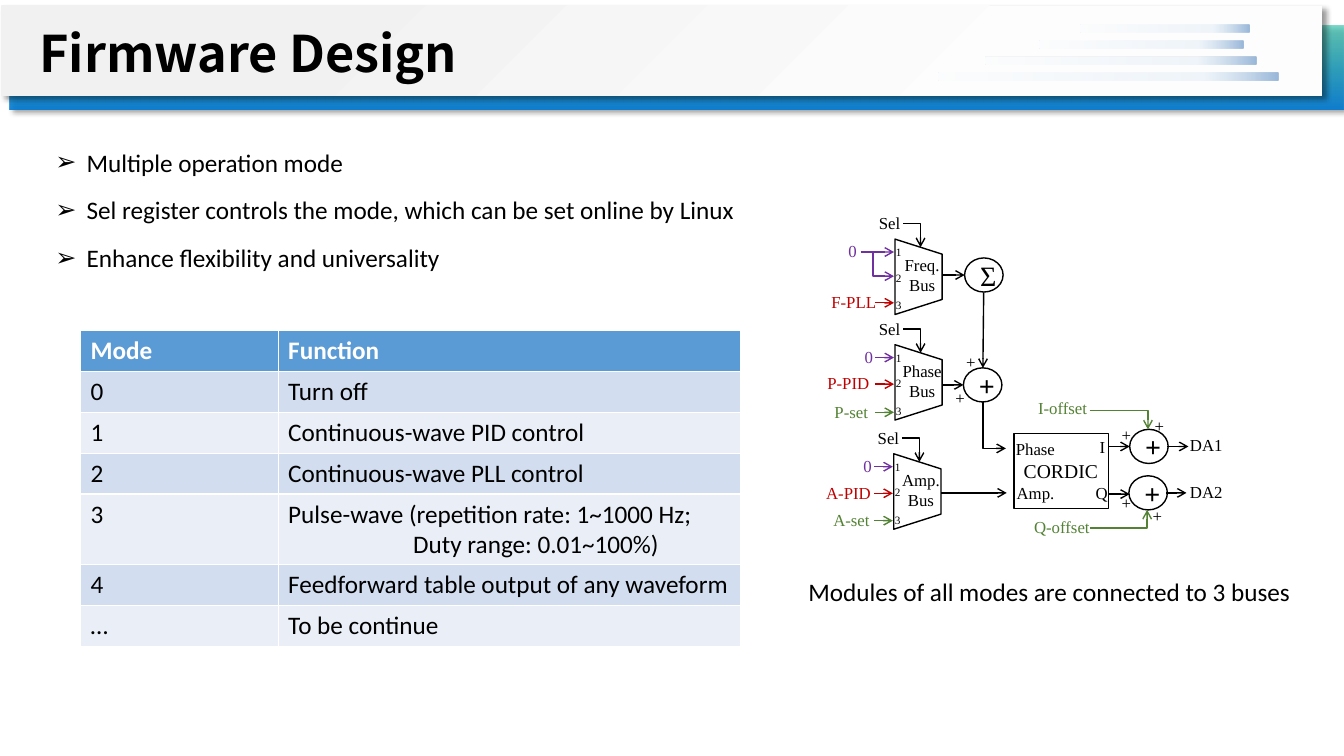
from dataclasses import dataclass

from lxml import etree
from pptx import Presentation
from pptx.dml.color import RGBColor
from pptx.enum.shapes import MSO_CONNECTOR, MSO_SHAPE
from pptx.enum.text import MSO_ANCHOR, MSO_AUTO_SIZE, PP_ALIGN
from pptx.oxml.ns import qn
from pptx.shapes.autoshape import Shape
from pptx.shapes.connector import Connector
from pptx.text.text import TextFrame, _Paragraph
from pptx.util import Cm, Pt

STRAIGHT, ELBOW = MSO_CONNECTOR.STRAIGHT, MSO_CONNECTOR.ELBOW
RECT, ROUND, OVAL = MSO_SHAPE.RECTANGLE, MSO_SHAPE.ROUNDED_RECTANGLE, MSO_SHAPE.OVAL
MUX = MSO_SHAPE.FLOWCHART_MANUAL_OPERATION
LEFT, CENTER = PP_ALIGN.LEFT, PP_ALIGN.CENTER
TOP, MIDDLE = MSO_ANCHOR.TOP, MSO_ANCHOR.MIDDLE
GROW, FIXED = MSO_AUTO_SIZE.SHAPE_TO_FIT_TEXT, MSO_AUTO_SIZE.NONE
BLACK, WHITE = "000000", "FFFFFF"
PURPLE, RED, GREEN = "7030A0", "C00000", "548235"
SERIF, SANS, HEAD = "Times New Roman", "Calibri", "Noto Sans CJK SC"


@dataclass
class Label:
    text: str
    x: float
    y: float
    w: float
    color: str = BLACK
    size: int = 12
    h: float = 0.76
    align: PP_ALIGN = LEFT


@dataclass
class Wire:
    x1: float
    y1: float
    x2: float
    y2: float
    color: str = BLACK
    bent: bool = False
    down: bool = False


@dataclass
class Pin:
    text: str
    color: str
    x: float
    w: float
    y: float
    start: float = -0.15


@dataclass
class Bus:
    name: str
    x: float
    y: float
    pins: list[Pin]


@dataclass
class Node:
    text: str
    x: float
    y: float
    bold: bool = True


@dataclass
class Stop:
    at: int
    color: str
    alpha: int = 100


BAND = [Stop(0, "23BFA5", 60), Stop(50, "119ABC", 80), Stop(100, "0078D2", 90)]
PLATE = [Stop(20, "FDFDFD"), Stop(80, "F1F1F1")]
STREAK = [Stop(0, "F7FAFD", 20), Stop(78, "B5D2EC", 20), Stop(100, "014DA2", 40)]

BUSES = [
    Bus("Freq.", 22.2, 6.38, [
        Pin("0", PURPLE, -1.07, 0.74, -0.03, -0.51),
        Pin("F-PLL", RED, -1.5, 1.65, 1.25)]),
    Bus("Phase", 22.2, 9.04, [
        Pin("0", PURPLE, -0.66, 0.74, -0.03),
        Pin("P-PID", RED, -1.6, 1.57, 0.64),
        Pin("P-set", GREEN, -1.42, 1.37, 1.35)]),
    Bus("Amp.", 22.17, 11.79, [
        Pin("0", PURPLE, -0.66, 0.74, -0.03),
        Pin("A-PID", RED, -1.6, 1.65, 0.64),
        Pin("A-set", GREEN, -1.42, 1.45, 1.33)]),
]
BACK = [
    Wire(23.44, 12.42, 25.37, 12.42), Wire(27.05, 12.45, 28.47, 12.45),
    Wire(27.46, 11.25, 28.47, 11.25), Wire(22.76, 9.7, 24.28, 9.7),
    Wire(23.39, 6.93, 24.31, 6.93),
]
FRONT = [
    Wire(29.41, 11.25, 29.95, 11.25), Wire(29.39, 12.42, 29.9, 12.42),
    Wire(24.79, 7.37, 24.77, 9.27),
    Wire(24.77, 10.13, 25.35, 11.3, bent=True, down=True),
    Wire(22, 6.35, 22.53, 6.96, PURPLE, True, True),
    Wire(27.46, 10.34, 28.93, 10.82, GREEN, True),
    Wire(27.46, 13.31, 28.91, 12.85, GREEN, True),
]
NODES = [Node("Σ", 24.31, 6.5, False), Node("+", 24.28, 9.27),
         Node("+", 28.47, 10.82), Node("+", 28.45, 11.99)]
PLUSES = [(23.83, 9.65), (24.1, 8.74), (28.02, 12.29), (28.8, 12.62),
          (28.85, 10.34), (28.02, 10.59)]
LABELS = [
    Label("CORDIC", 25.55, 11.43, 2.41, size=14, h=0.86),
    Label("Phase", 25.35, 10.92, 1.55), Label("Amp.", 25.37, 12.04, 1.47),
    Label("I", 27.46, 10.87, 0.66), Label("Q", 27.36, 12.04, 0.81),
    Label("DA1", 29.74, 10.82, 1.35), Label("DA2", 29.74, 12.01, 1.35),
    Label("I-offset", 25.91, 9.91, 1.78, GREEN),
    Label("Q-offset", 25.81, 12.9, 1.93, GREEN),
] + [Label("+", x, y, 0.76) for x, y in PLUSES]
POINTS = ["Multiple operation mode",
          "Sel register controls the mode, which can be set online by Linux",
          "Enhance flexibility and universality"]
MODES = [("Mode", "Function"), ("0", "Turn off"),
         ("1", "Continuous-wave PID control"), ("2", "Continuous-wave PLL control"),
         ("3", "Pulse-wave (repetition rate: 1~1000 Hz;\nDuty range: 0.01~100%)"),
         ("4", "Feedforward table output of any waveform"), ("…", "To be continue")]

deck = Presentation()
deck.slide_width, deck.slide_height = Cm(33.87), Cm(19.05)
page = deck.slides.add_slide(deck.slide_layouts[1])


def rgb(code: str) -> RGBColor:
    return RGBColor.from_string(code)


def style(para: _Paragraph, face: str, size: int, color: str = BLACK, bold: bool = False) -> None:
    font = para.font
    font.name, font.size, font.bold = face, Pt(size), bold
    font.color.rgb = rgb(color)


def place(shape: Shape, x: float, y: float, w: float, h: float) -> None:
    shape.left, shape.top, shape.width, shape.height = Cm(x), Cm(y), Cm(w), Cm(h)


def block(kind: MSO_SHAPE, x: float, y: float, w: float, h: float) -> Shape:
    shape = page.shapes.add_shape(kind, Cm(x), Cm(y), Cm(w), Cm(h))
    shape.shadow.inherit = False
    shape.fill.solid()
    shape.fill.fore_color.rgb = rgb(WHITE)
    shape.line.color.rgb = rgb(BLACK)
    shape.line.width = Pt(1)
    return shape


def blend(shape: Shape, stops: list[Stop], angle: int, shade: bool = False) -> None:
    shape.line.fill.background()
    props = shape.element.spPr
    grad = etree.Element(qn("a:gradFill"), rotWithShape="1")
    group = etree.SubElement(grad, qn("a:gsLst"))
    for stop in stops:
        mark = etree.SubElement(group, qn("a:gs"), pos=str(stop.at * 1000))
        tone = etree.SubElement(mark, qn("a:srgbClr"), val=stop.color)
        etree.SubElement(tone, qn("a:alpha"), val=str(stop.alpha * 1000))
    etree.SubElement(grad, qn("a:lin"), ang=str(angle * 60000), scaled="0")
    props.replace(props.find(qn("a:solidFill")), grad)
    if shade:
        cast = etree.SubElement(props.find(qn("a:effectLst")), qn("a:outerShdw"),
                                blurRad=str(Pt(4)), dist=str(Pt(3)), dir=str(45 * 60000))
        tone = etree.SubElement(cast, qn("a:srgbClr"), val=BLACK)
        etree.SubElement(tone, qn("a:alpha"), val="40000")


def write(label: Label) -> None:
    box = page.shapes.add_textbox(Cm(label.x), Cm(label.y), Cm(label.w), Cm(label.h))
    frame = box.text_frame
    frame.word_wrap, frame.auto_size = False, GROW
    frame.text = label.text
    for para in frame.paragraphs:
        para.alignment = label.align
        style(para, SERIF, label.size, label.color)


def turn(link: Connector) -> None:
    wide, high = link.width, link.height
    link.left += (wide - high) // 2
    link.top += (high - wide) // 2
    link.width, link.height = high, wide
    frame = link.element.spPr.find(qn("a:xfrm"))
    frame.set("rot", str(270 * 60000))
    frame.set("flipH", "1")


def draw(wire: Wire) -> None:
    link = page.shapes.add_connector(ELBOW if wire.bent else STRAIGHT, Cm(wire.x1),
                                     Cm(wire.y1), Cm(wire.x2), Cm(wire.y2))
    link.line.color.rgb = rgb(wire.color)
    link.line.width = Pt(1)
    props = link.element.spPr
    etree.SubElement(props.find(qn("a:ln")), qn("a:tailEnd"), type="arrow")
    etree.SubElement(props, qn("a:effectLst"))
    if wire.bent:
        props.find(qn("a:prstGeom")).set("prst", "bentConnector2")
    if wire.down:
        turn(link)


def build(bus: Bus) -> None:
    x, y = bus.x, bus.y
    block(MUX, x, y, 1.9, 1.19).rotation = 270
    write(Label(f"{bus.name}\nBus", x + 0.29, y - 0.08, 1.5, h=1.28, align=CENTER))
    write(Label("Sel", x - 0.3, y - 1.14, 1.07))
    draw(Wire(x + 0.56, y - 0.75, x + 1, y - 0.15, bent=True))
    for pin in bus.pins:
        draw(Wire(x + pin.start, y + pin.y, x + 0.33, y + pin.y, pin.color))
        write(Label(pin.text, x + pin.x, y + pin.y - 0.4, pin.w, pin.color))
    for text, drop in zip("123", (-0.32, 0.32, 1.02)):
        write(Label(text, x + 0.13, y + drop, 0.66, size=8, h=0.6))


def list_points(frame: TextFrame, lines: list[str], mark: str = "") -> None:
    frame.word_wrap, frame.auto_size, frame.vertical_anchor = True, FIXED, TOP
    frame.text = "\n".join(lines)
    for row, para in enumerate(frame.paragraphs):
        para.line_spacing, para.space_before = 1.3, Pt(6 if row else 0)
        if mark:
            props = para._p.get_or_add_pPr()
            props.set("marL", str(Cm(0.79)))
            props.set("indent", str(Cm(-0.79)))
            etree.SubElement(props, qn("a:buChar"), char=mark)
        style(para, SANS, 18)


def fill_table() -> None:
    grid = page.shapes.add_table(len(MODES), 2, Cm(2.03), Cm(8.33), Cm(16.64), Cm(7.95)).table
    grid.columns[0].width, grid.columns[1].width = Cm(4.98), Cm(11.66)
    for row, texts in enumerate(MODES):
        grid.rows[row].height = Cm(1.77 if "\n" in texts[1] else 1.03)
        shade = ("D2DEEF" if row % 2 else "EAEFF7") if row else "5B9BD5"
        for col, text in enumerate(texts):
            cell = grid.cell(row, col)
            cell.text = text
            cell.fill.solid()
            cell.fill.fore_color.rgb = rgb(shade)
            for step, para in enumerate(cell.text_frame.paragraphs):
                if step:
                    para._p.get_or_add_pPr().set("marL", str(Cm(3.15)))
                style(para, SANS, 18, BLACK if row else WHITE, not row)


def main() -> None:
    title, body = page.placeholders
    blend(block(RECT, 0.25, 0.64, 33.6, 2.11), BAND, 90, True)
    blend(block(RECT, 0.03, 0.15, 33.3, 2.26), PLATE, 225, True)
    for row, (x, w) in enumerate([(27.23, 4.27), (26.21, 5.13), (24.84, 6.83), (23.65, 8.56)]):
        blend(block(ROUND, x, 0.61 + 0.41 * row, w, 0.2), STREAK, 0)
    for holder in (title, body):
        page.shapes._spTree.append(holder.element)

    place(title, 0.74, 0.05, 29.21, 2.24)
    frame = title.text_frame
    frame.text = "Firmware Design"
    frame.vertical_anchor, frame.auto_size = MIDDLE, FIXED
    frame.margin_top = frame.margin_bottom = Cm(0.2)
    head = frame.paragraphs[0]
    head.alignment, head.line_spacing = LEFT, 1.2
    style(head, HEAD, 36, bold=True)
    place(body, 1.14, 3.35, 18.59, 3.61)
    list_points(body.text_frame, POINTS, "➢")

    for wire in BACK:
        draw(wire)
    for bus in BUSES:
        build(bus)
    block(RECT, 25.55, 10.92, 2.39, 1.9)
    for node in NODES:
        ring = block(OVAL, node.x, node.y, 0.97, 0.86)
        ring.text_frame.text = node.text
        ring.text_frame.vertical_anchor = MIDDLE
        sign = ring.text_frame.paragraphs[0]
        sign.alignment = CENTER
        style(sign, SERIF, 20, bold=node.bold)
    for wire in FRONT:
        draw(wire)
    for label in LABELS:
        write(label)
    fill_table()
    note = page.shapes.add_textbox(Cm(20.12), Cm(14.17), Cm(13.03), Cm(1.17))
    list_points(note.text_frame, ["Modules of all modes are connected to 3 buses"])
    deck.save("out.pptx")


if __name__ == "__main__":
    main()
